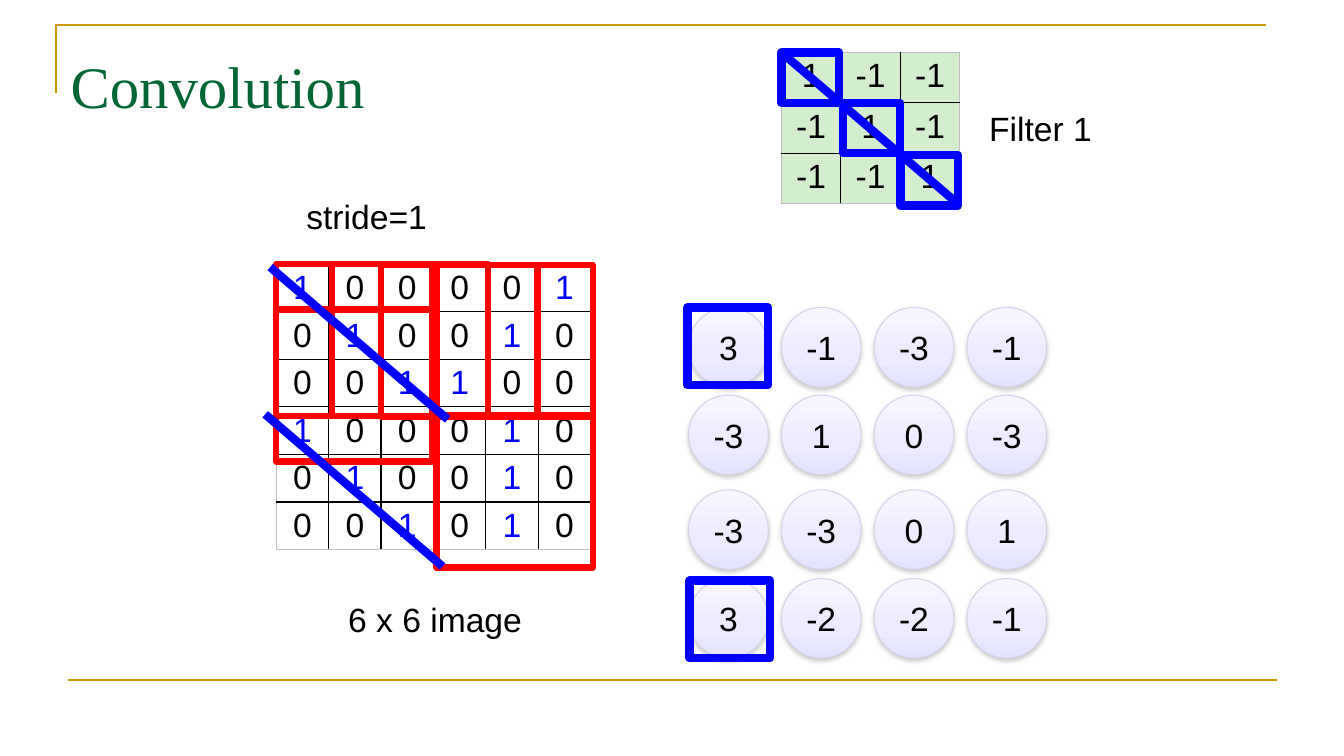
from copy import deepcopy
from pptx import Presentation
from pptx.dml.color import RGBColor
from pptx.enum.shapes import MSO_CONNECTOR, MSO_SHAPE
from pptx.enum.text import MSO_ANCHOR, PP_ALIGN
from pptx.oxml import parse_xml
from pptx.oxml.ns import nsdecls, qn
from pptx.oxml.xmlchemy import OxmlElement
from pptx.util import Inches, Pt

BLACK = RGBColor(0x00, 0x00, 0x00)
BLUE = RGBColor(0x00, 0x00, 0xFF)
RED = RGBColor(0xFF, 0x00, 0x00)
GOLD = RGBColor(0xCC, 0x99, 0x00)
GREEN = RGBColor(0x00, 0x66, 0x33)
MINT = RGBColor(0xD3, 0xED, 0xCE)
RIM = RGBColor(0xD4, 0xD3, 0xE7)
SHADES = [(0, RGBColor(0xF7, 0xF6, 0xFF)), (0.65, RGBColor(0xEC, 0xEB, 0xFF)),
          (1, RGBColor(0xE5, 0xE3, 0xFF))]

PIXELS = ["100001", "010010", "001100", "100010", "010010", "001010"]
KERNEL = [["1", "-1", "-1"], ["-1", "1", "-1"], ["-1", "-1", "1"]]
RESULT = [(3.05, ["3", "-1", "-3", "-1"]), (3.92, ["-3", "1", "0", "-3"]),
          (4.86, ["-3", "-3", "0", "1"]), (5.74, ["3", "-2", "-2", "-1"])]
WINDOWS = [(2.74, 2.62), (3.29, 2.62), (3.78, 2.63), (4.33, 2.63),
           (2.74, 3.07), (4.33, 4.12)]
MARKS = [(7.75, 0.52, 0.57, 0.5), (8.36, 1.02, 0.57, 0.5), (8.93, 1.54, 0.57, 0.5),
         (6.82, 3.05, 0.8, 0.77), (6.84, 5.76, 0.8, 0.77)]
SLANTS = [(7.75, 0.52), (2.68, 2.65), (2.63, 4.11)]


def put(item, **vals):
    """Set each named value on an item."""
    for name, val in vals.items():
        setattr(item, name, val)


class Board:
    """Style and drawing methods for one slide."""

    def __init__(self, deck):
        """Add a title-only slide."""
        self.slide = deck.slides.add_slide(deck.slide_layouts[5])
        self.shapes = self.slide.shapes
        self.font = {"name": "Arial", "size": Pt(24), "bold": False}

    def words(self, frame, text, align=PP_ALIGN.CENTER, color=BLACK, **extra):
        """Fill a frame with one styled paragraph."""
        para = frame.paragraphs[0]
        para.text = text
        para.alignment = align
        put(para.font, **{**self.font, **extra})
        para.font.color.rgb = color

    def title(self, text, *area):
        """Place and format the title."""
        box = self.shapes.title
        put(box, **dict(zip(("left", "top", "width", "height"), map(Inches, area))))
        put(box.text_frame, vertical_anchor=MSO_ANCHOR.TOP, margin_top=Inches(0.12),
            word_wrap=True)
        self.words(box.text_frame, text, PP_ALIGN.LEFT, GREEN,
                   name="Times New Roman", size=Pt(42))

    def label(self, text, *area, wrap=True, align=PP_ALIGN.CENTER):
        """Add a text box."""
        frame = self.shapes.add_textbox(*map(Inches, area)).text_frame
        frame.word_wrap = wrap
        self.words(frame, text, align)

    def stroke(self, item, color, width):
        """Give an outline its colour and width."""
        item.line.color.rgb = color
        item.line.width = Pt(width)

    def line(self, start, end, color, width):
        """Add a straight line."""
        ends = map(Inches, (*start, *end))
        link = self.shapes.add_connector(MSO_CONNECTOR.STRAIGHT, *ends)
        self.stroke(link, color, width)
        link._element.spPr.append(OxmlElement("a:effectLst"))

    def corner(self, points, color, width):
        """Add an open outline."""
        first, *rest = [tuple(map(Inches, spot)) for spot in points]
        trace = self.shapes.build_freeform(*first)
        trace.add_line_segments(rest, close=False)
        item = trace.convert_to_shape()
        item.shadow.inherit = False
        item.fill.background()
        self.stroke(item, color, width)

    def frame(self, area, color, width):
        """Add a hollow box with round joins."""
        box = self.shapes.add_shape(MSO_SHAPE.RECTANGLE, *map(Inches, area))
        box.shadow.inherit = False
        box.fill.background()
        self.stroke(box, color, width)
        box._element.spPr.find(qn("a:ln")).append(OxmlElement("a:round"))

    def ball(self, text, left, top, size=0.79):
        """Add a shaded circle with a value."""
        disc = self.shapes.add_shape(MSO_SHAPE.OVAL, *map(Inches, (left, top, size, size)))
        disc.fill.gradient()
        disc.fill.gradient_angle = 270
        props = disc._element.spPr
        stops = props.find(".//" + qn("a:gsLst"))
        stops.insert(1, deepcopy(stops[0]))
        for stop, (spot, color) in zip(disc.fill.gradient_stops, SHADES):
            stop.position = spot
            stop.color.rgb = color
        self.stroke(disc, RIM, 0.75)
        disc.shadow.inherit = False
        props.find(qn("a:effectLst")).append(parse_xml(
            f'<a:outerShdw {nsdecls("a")} blurRad="{Pt(3.1)}" dist="{Pt(1.6)}" '
            'dir="5400000" rotWithShape="0"><a:srgbClr val="808080">'
            '<a:alpha val="38000"/></a:srgbClr></a:outerShdw>'))
        put(disc.text_frame, word_wrap=False, vertical_anchor=MSO_ANCHOR.MIDDLE,
            margin_left=0, margin_right=0)
        self.words(disc.text_frame, text)

    def edges(self, cell, outer):
        """Draw cell borders, grey on the outer sides."""
        for side in "LRTB":
            color = "BFBFBF" if side in outer else "000000"
            cell._tc.get_or_add_tcPr().append(parse_xml(
                f'<a:ln{side} {nsdecls("a")} w="{Pt(1)}"><a:solidFill>'
                f'<a:srgbClr val="{color}"/></a:solidFill></a:ln{side}>'))

    def grid(self, rows, left, top, wide, high, one=BLACK, fill=None):
        """Add a square table of numbers."""
        count = len(rows)
        area = map(Inches, (left, top, wide * count, high * count))
        table = self.shapes.add_table(count, count, *area).table
        put(table, first_row=False, horz_banding=False)
        last = count - 1
        for i, row in enumerate(rows):
            table.rows[i].height = Inches(high)
            table.columns[i].width = Inches(wide)
            for j, text in enumerate(row):
                cell = table.cell(i, j)
                sides = {"L": j == 0, "R": j == last, "T": i == 0, "B": i == last}
                self.edges(cell, [side for side, rim in sides.items() if rim])
                if fill:
                    cell.fill.solid()
                    cell.fill.fore_color.rgb = fill
                else:
                    cell.fill.background()
                self.words(cell.text_frame, text, color=one if text == "1" else BLACK)


def main():
    """Build the slide and save it."""
    deck = Presentation()
    put(deck, slide_width=Inches(13.33), slide_height=Inches(7.5))
    board = Board(deck)
    board.corner([(0.56, 0.92), (0.56, 0.25), (12.56, 0.25)], GOLD, 1.5)
    board.line((0.67, 6.75), (12.67, 6.75), GOLD, 1.5)
    board.title("Convolution", 0.6, 0.37, 8.62, 0.62)
    board.grid(PIXELS, 2.74, 2.62, 0.52, 0.47, one=BLUE)
    board.label("6 x 6 image", 3.03, 5.89, 2.57, 0.5)
    board.grid(KERNEL, 7.75, 0.52, 0.59, 0.5, fill=MINT)
    board.label("Filter 1", 9.53, 1.02, 1.58, 0.51)
    board.label("stride=1", 2.94, 1.89, 1.41, 0.5, wrap=False, align=PP_ALIGN.LEFT)
    for top, row in RESULT:
        for i, text in enumerate(row):
            board.ball(text, 6.83 + 0.92 * i, top)
    for spot in WINDOWS:
        board.frame((*spot, 1.55, 1.51), RED, 4.5)
    for area in MARKS:
        board.frame(area, BLUE, 6)
    for x, y in SLANTS:
        board.line((x, y), (x + 1.76, y + 1.51), BLUE, 6)
    deck.save("out.pptx")


if __name__ == "__main__":
    main()
